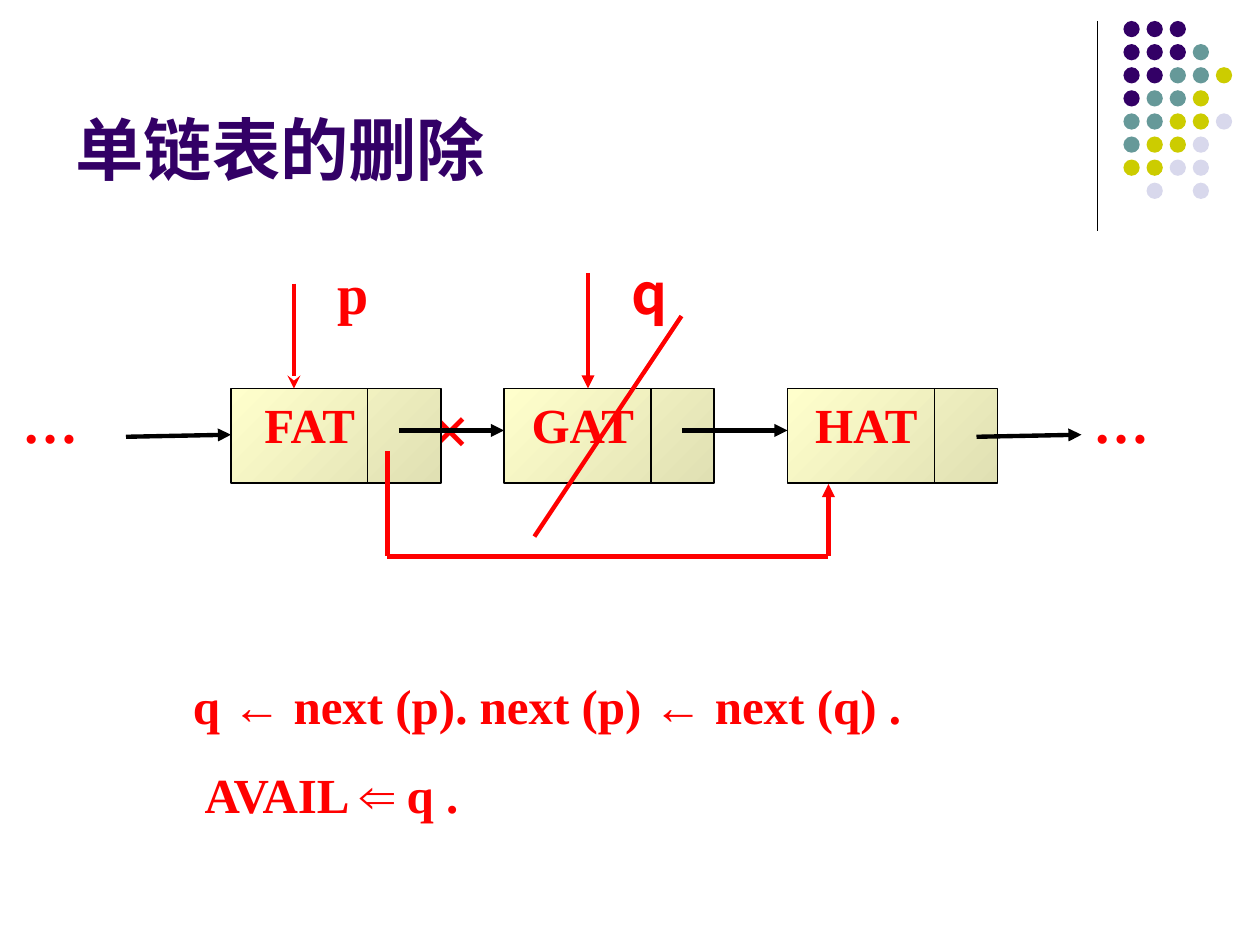
from lxml import etree
from pptx import Presentation
from pptx import util as u
from pptx.dml.color import RGBColor
from pptx.enum import shapes, text
from pptx.oxml.ns import qn

COLORS = {"ink": "000000", "red": "FF0000", "purple": "330066", "teal": "669999",
          "olive": "CCCC00", "mist": "D8D8EC", "cream": "FFFFCC", "sand": "E0E0B3"}
RGB = {name: RGBColor.from_string(value) for name, value in COLORS.items()}
SERIF = "Times New Roman"

prs = Presentation()
prs.slide_width, prs.slide_height = u.Inches(10), u.Inches(7.5)
COL, ROW = prs.slide_width / 120, prs.slide_height / 90
slide = prs.slides.add_slide(prs.slide_layouts[5])


def add_line(x1, y1, x2, y2, color="ink", width=2.5, head=None):
    ln = slide.shapes.add_connector(
        shapes.MSO_CONNECTOR.STRAIGHT,
        int(x1 * COL), int(y1 * ROW), int(x2 * COL), int(y2 * ROW))
    ln.line.color.rgb = RGB[color]
    ln.line.width = u.Pt(width)
    if head:
        etree.SubElement(ln.line._get_or_add_ln(), qn("a:tailEnd"), type=head)
    etree.SubElement(ln._element.spPr, qn("a:effectLst"))


def add_text(x, y, w, h, paragraphs, size, **formats):
    tf = slide.shapes.add_textbox(
        int(x * COL), int(y * ROW), int(w * COL), int(h * ROW)).text_frame
    tf.word_wrap = True
    for i, runs in enumerate(paragraphs):
        p = tf.paragraphs[0] if i == 0 else tf.add_paragraph()
        for name, value in formats.items():
            setattr(p, name, value)
        for words, font in runs:
            r = p.add_run()
            r.text = words
            for name, value in {"size": u.Pt(size), "name": font, "bold": True}.items():
                setattr(r.font, name, value)
            r.font.color.rgb = RGB["red"]
    return tf


add_line(104.5, 2, 104.5, 22, width=0.75)
DOT_COLORS = {"p": "purple", "t": "teal", "o": "olive", "m": "mist"}
DOT_ROWS = ["ppp", "pppt", "pptto", "ptto", "ttoom", "toom", "oomm", " m m"]
for row, dots in enumerate(DOT_ROWS):
    for col, dot in enumerate(dots):
        if dot == " ":
            continue
        shift = 0 if row < 7 else 0
        sp = slide.shapes.add_shape(
            shapes.MSO_SHAPE.OVAL,
            int((107 + 2.2 * (col + shift)) * COL), int((2 + 2.2 * row) * ROW),
            int(1.55 * COL), int(1.55 * ROW))
        sp.shadow.inherit = False
        sp.fill.solid()
        sp.fill.fore_color.rgb = RGB[DOT_COLORS[dot]]
        sp.line.fill.background()

title = slide.shapes.title
for name, value in {"left": 6 * COL, "top": 1.6 * ROW, "width": 99 * COL, "height": 17 * ROW}.items():
    setattr(title, name, int(value))
tf = title.text_frame
tf.text = "单链表的删除"
tf.vertical_anchor = text.MSO_ANCHOR.BOTTOM
tf.auto_size = text.MSO_AUTO_SIZE.NONE
p = tf.paragraphs[0]
p.alignment = text.PP_ALIGN.LEFT
for name, value in {"size": u.Pt(39), "name": "Arial", "bold": True}.items():
    setattr(p.font, name, value)
p.font.color.rgb = RGB["purple"]

add_text(39.8, 36.1, 9, 9, [[("×", SERIF)]], 40)

for x, divider, word in [(22, 35, "FAT"), (48, 62, "GAT"), (75, 89, "HAT")]:
    sp = slide.shapes.add_shape(
        shapes.MSO_SHAPE.RECTANGLE,
        int(x * COL), int(37 * ROW), int(20 * COL), int(9 * ROW))
    sp.shadow.inherit = False
    sp.fill.gradient()
    sp.fill.gradient_angle = 315
    for stop, color in zip(sp.fill.gradient_stops, ["cream", "sand"]):
        stop.color.rgb = RGB[color]
    sp.line.color.rgb = RGB["ink"]
    sp.line.width = u.Pt(1)
    add_line(divider, 37, divider, 46, width=1)
    add_text(x + 1, 37, 13, 7, [[(word, SERIF)]], 28, alignment=text.PP_ALIGN.CENTER)

for x in (1, 103):
    add_text(x, 36, 10, 8, [[("…", SERIF)]], 32, line_spacing=1.05)
for x, letter, font in [(31, "p", SERIF), (59, "q", "Noto Sans CJK SC")]:
    add_text(x, 24, 6, 7.7, [[(letter, font)]], 32)

for x in (12, 93):
    add_line(x, 41.6, x + 10, 41.4, head="triangle")
for x in (38, 65):
    add_line(x, 41, x + 10, 41, head="triangle")

add_line(28, 27, 28, 37, "red", head="stealth")
add_line(56, 26, 56, 37, "red", head="triangle")
add_line(36.9, 43, 36.9, 53, "red")
add_line(36.9, 53, 78.9, 53, "red")
add_line(78.9, 53, 78.9, 46.1, "red", head="triangle")
add_line(64.9, 30.1, 50.9, 51.1, "red")

steps = [
    [("q ", SERIF), ("←", "Arial"), (" next (p). next (p) ", SERIF),
     ("←", "Arial"), (" next (q) .", SERIF)],
    [("AVAIL ", SERIF), ("⇐", "Arial"), (" q .", SERIF)],
]
tf = add_text(16, 63.7, 74.6, 15.4, steps, 28)
tf.paragraphs[1].space_before = u.Pt(17.5)
for p, indent in zip(tf.paragraphs, (1.2, 2.3)):
    p._p.get_or_add_pPr().set("marL", str(int(indent * COL)))

prs.save("out.pptx")
